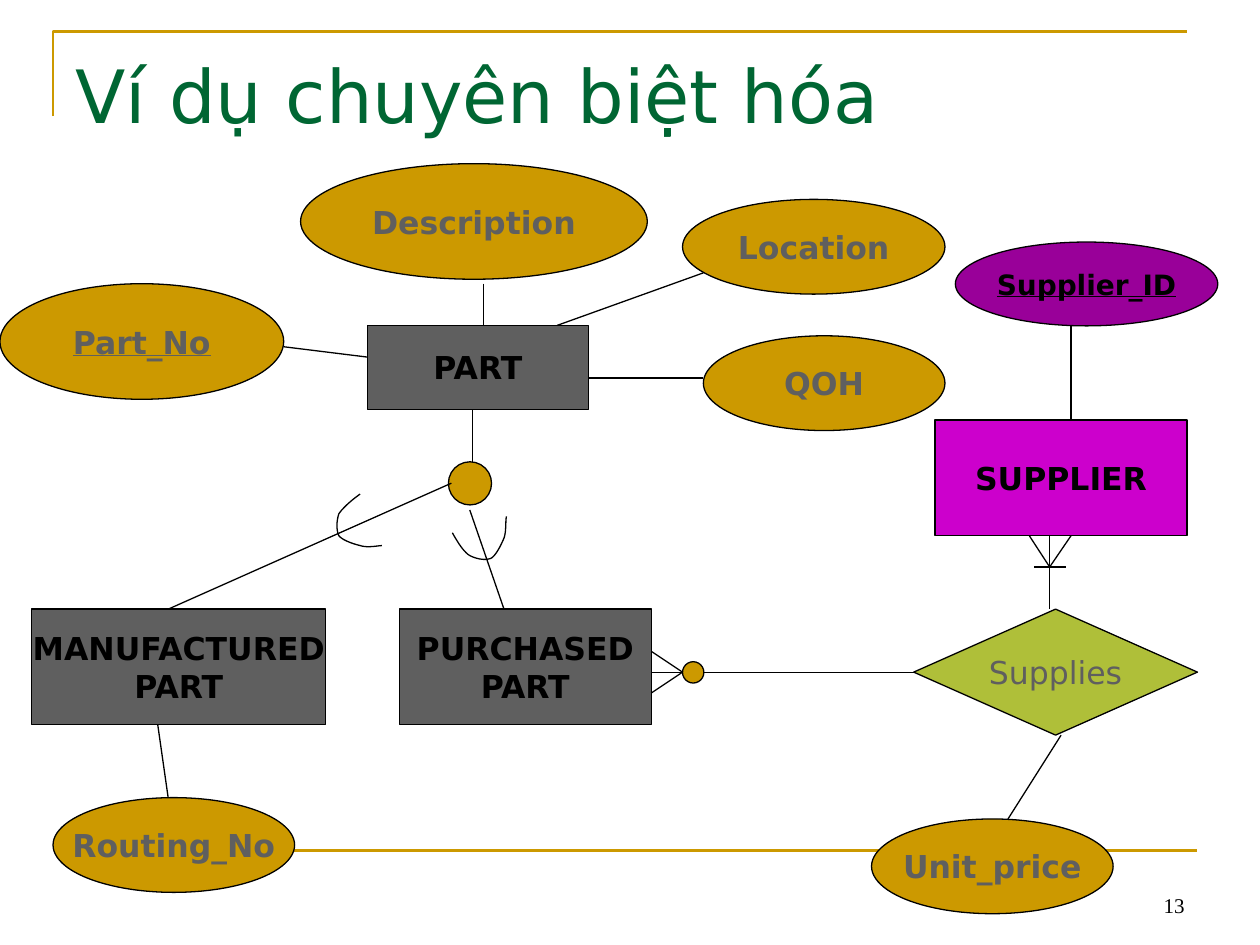
from dataclasses import dataclass

from lxml import etree
from pptx import Presentation
from pptx.dml.color import RGBColor
from pptx.enum import shapes, text
from pptx.oxml.ns import qn
from pptx.util import Cm, Pt


@dataclass(frozen=True)
class Theme:
    gold: str = "CC9900"
    green: str = "006633"
    gray: str = "5F5F5F"
    black: str = "000000"
    magenta: str = "CC00CC"
    purple: str = "990099"
    lime: str = "AFBF39"
    font: str = "DejaVu Sans"
    number_font: str = "Times New Roman"
    title: int = 42
    body: int = 18
    small: int = 16
    number: int = 12
    thin: float = 0.75
    thick: float = 1.5


T = Theme()
KIND = shapes.MSO_SHAPE
ANCHOR = text.MSO_ANCHOR
ALIGN = text.PP_ALIGN


@dataclass
class Region:
    """A part of the slide; all positions in it are cm from its corner."""
    s: object
    left: float
    top: float

    def at(self, x, y):
        return Cm(self.left + x), Cm(self.top + y)

    def line(self, x1, y1, x2, y2, color=T.black, width=T.thin):
        c = self.s.shapes.add_connector(
            shapes.MSO_CONNECTOR.STRAIGHT, *self.at(x1, y1), *self.at(x2, y2))
        c.line.color.rgb = RGBColor.from_string(color)
        c.line.width = Pt(width)
        etree.SubElement(c._element.spPr, qn("a:effectLst"))

    def shape(self, kind, x, y, w, h, fill, label="", **fmt):
        sp = self.s.shapes.add_shape(kind, *self.at(x, y), Cm(w), Cm(h))
        sp.shadow.inherit = False
        sp.fill.solid()
        sp.fill.fore_color.rgb = RGBColor.from_string(fill)
        sp.line.color.rgb = RGBColor.from_string(T.black)
        sp.line.width = Pt(T.thin)
        if label:
            write(sp.text_frame, label, **fmt)

    def attribute(self, label, x, y, w=4.87, h=1.91, fill=T.gold,
                  color=T.gray, **fmt):
        self.shape(KIND.OVAL, x, y, w, h, fill, label, color=color, **fmt)

    def entity(self, label, x, y, w, h=2.33, fill=T.gray):
        self.shape(KIND.RECTANGLE, x, y, w, h, fill, label)

    def dot(self, x, y, size):
        self.shape(KIND.OVAL, x, y, size, size, T.gold)

    def textbox(self, label, x, y, w, h, **fmt):
        tb = self.s.shapes.add_textbox(*self.at(x, y), Cm(w), Cm(h))
        write(tb.text_frame, label, wrap=True, bold=False, **fmt)

    def path_line(self, points, color=T.black, width=T.thin):
        pts = [self.at(*p) for p in points]
        fb = self.s.shapes.build_freeform(*pts[0], scale=1.0)
        fb.add_line_segments(pts[1:], close=False)
        sp = fb.convert_to_shape()
        sp.shadow.inherit = False
        sp.fill.background()
        sp.line.color.rgb = RGBColor.from_string(color)
        sp.line.width = Pt(width)


def write(tf, label, size=T.body, color=T.black, font=T.font, bold=True,
          underline=False, align=ALIGN.CENTER, anchor=ANCHOR.MIDDLE, wrap=False):
    tf.word_wrap = wrap
    tf.vertical_anchor = anchor
    for i, row in enumerate(label.split("\n")):
        p = tf.add_paragraph() if i else tf.paragraphs[0]
        p.alignment = align
        r = p.add_run()
        r.text = row
        f = r.font
        f.name, f.size, f.bold, f.underline = font, Pt(size), bold, underline
        f.color.rgb = RGBColor.from_string(color)


def bezier(points, steps=10):
    """Sample a chain of cubic curves: a start, then three points per curve."""
    out = [points[0]]
    for i in range(0, len(points) - 1, 3):
        curve = points[i:i + 4]
        for t in (n / steps for n in range(1, steps + 1)):
            weights = ((1 - t) ** 3, 3 * t * (1 - t) ** 2,
                       3 * t * t * (1 - t), t ** 3)
            out.append(tuple(sum(k * p[axis] for k, p in zip(weights, curve))
                             for axis in (0, 1)))
    return out


def frame(g, title, number):
    g.path_line([(0, 1.7), (0, 0), (22.86, 0)], T.gold, T.thick)
    g.line(0.2, 16.51, 23.06, 16.51, T.gold, T.thick)
    g.textbox(number, 17.14, 16.71, 5.92, 1.27, size=T.number,
              font=T.number_font, align=ALIGN.RIGHT, anchor=ANCHOR.BOTTOM)
    g.textbox(title, 0.2, 0.24, 22.86, 3.18, size=T.title, color=T.green,
              align=ALIGN.LEFT, anchor=ANCHOR.TOP)


def part(g):
    g.entity("PART", 7.41, 3.26, 4.45, 1.69)
    g.attribute("Description", 6.06, 0, 6.99, 2.33)
    g.attribute("Location", 13.76, 0.72, 5.29)
    g.attribute("QOH", 14.18, 3.47)
    g.attribute("Part_No", 0, 2.42, 5.72, 2.33, underline=True)
    for ends in ((9.74, 2.42, 9.74, 3.26), (14.18, 2.2, 11.23, 3.26),
                 (14.18, 4.32, 11.85, 4.32), (5.72, 3.69, 7.41, 3.9)):
        g.line(*ends)


def subtypes(g):
    g.dot(8.4, 1.06, 0.87)
    g.entity("MANUFACTURED\nPART", 0, 4.03, 5.93)
    g.entity("PURCHASED\nPART", 7.41, 4.03, 5.08)
    g.attribute("Routing_No", 0.43, 7.83)
    for ends in ((8.89, 0, 8.89, 1.06), (8.46, 1.49, 2.75, 4.03),
                 (8.83, 2.03, 9.52, 4.03), (2.54, 6.36, 2.75, 7.83)):
        g.line(*ends)
    manufactured_arc = [
        (6.62, 1.71), (6.45, 1.83), (6.27, 1.99), (6.19, 2.11), (6.14, 2.27),
        (6.14, 2.44), (6.19, 2.55), (6.27, 2.65), (6.5, 2.72), (6.62, 2.75),
        (6.78, 2.8), (6.98, 2.75), (7.06, 2.75)]
    purchased_arc = [
        (8.48, 2.49), (8.58, 2.67), (8.71, 2.88), (8.83, 2.95), (8.99, 3.03),
        (9.16, 3.05), (9.27, 3), (9.37, 2.93), (9.47, 2.72), (9.52, 2.6),
        (9.57, 2.47), (9.55, 2.24), (9.57, 2.16)]
    for arc in (manufactured_arc, purchased_arc):
        g.path_line(bezier(arc))


def supplier(g):
    g.entity("SUPPLIER", 0, 3.59, 5.08, fill=T.magenta)
    g.attribute("Supplier_ID", 0.41, 0, 5.29, 1.69, fill=T.purple,
                color=T.black, size=T.small, underline=True)
    g.line(2.74, 1.69, 2.74, 3.59)
    g.line(2.31, 5.92, 2.31, 7.4)
    for toe in (1.9, 2.74):
        g.line(toe, 5.92, 2.31, 6.55)
    g.line(2, 6.55, 2.64, 6.55)


def supply(g):
    g.shape(KIND.DIAMOND, 5.29, 0, 5.72, 2.54, T.lime, "Supplies",
            color=T.gray, bold=False)
    g.line(0, 1.27, 5.29, 1.27)
    for toe in (0.85, 1.69):
        g.line(0, toe, 0.63, 1.27)
    g.dot(0.63, 1.06, 0.43)
    g.attribute("Unit_price", 4.44, 4.23)
    g.line(8.26, 2.54, 7.19, 4.23)


def main():
    prs = Presentation()
    prs.slide_width, prs.slide_height = Cm(25.4), Cm(19.05)
    s = prs.slides.add_slide(prs.slide_layouts[6])
    frame(Region(s, 1.07, 0.64), "Ví dụ chuyên biệt hóa", "13")
    part(Region(s, 0, 3.3))
    subtypes(Region(s, 0.64, 8.25))
    supplier(Region(s, 18.85, 4.88))
    supply(Region(s, 13.13, 12.28))
    prs.save("out.pptx")


if __name__ == "__main__":
    main()
